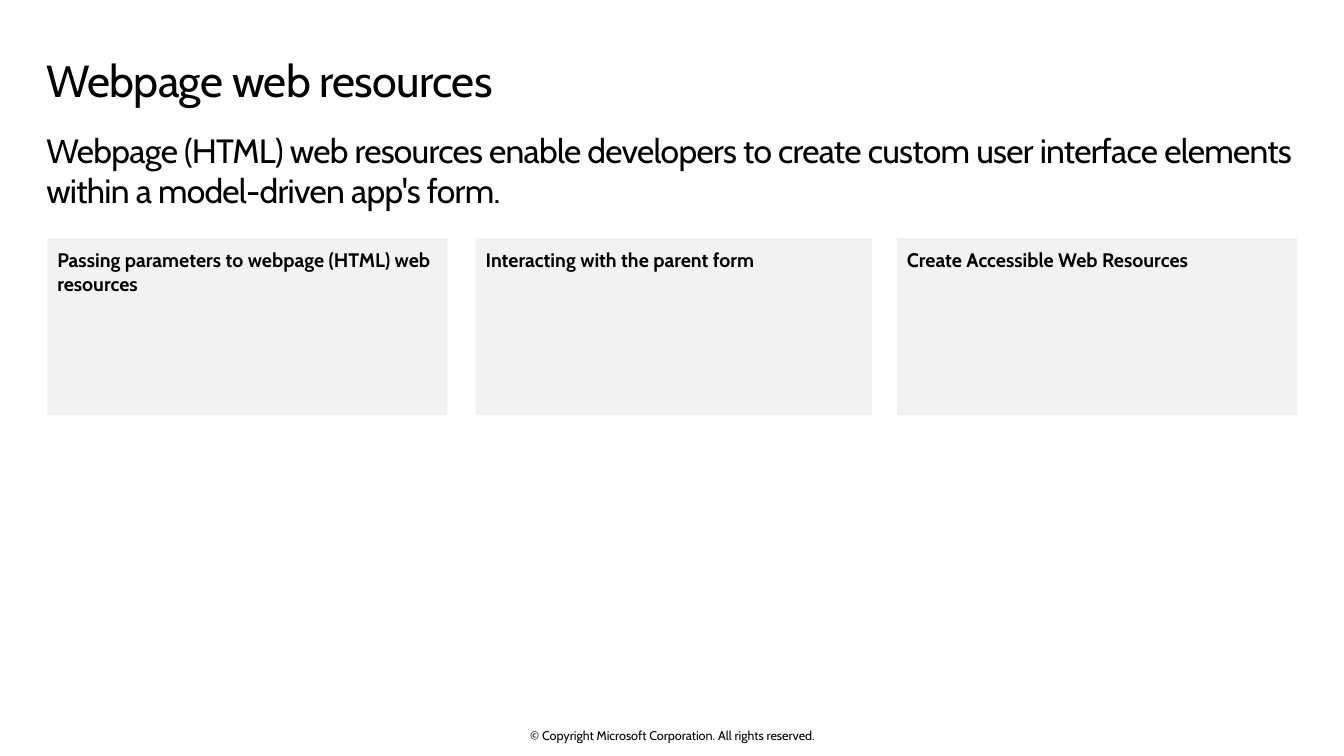
import pptx
import pptx.util
import pptx.dml.color
import pptx.enum.shapes
import pptx.enum.text

Pt = pptx.util.Pt
ALIGN = pptx.enum.text.PP_ALIGN
ANCHOR = pptx.enum.text.MSO_ANCHOR

# Content
TITLE = "Webpage web resources"
INTRO = ("Webpage (HTML) web resources enable developers to create custom "
         "user interface elements within a model-driven app's form.")
CARDS = [  # left, width, heading
    (33.84, 285.84, "Passing parameters to webpage (HTML) web resources"),
    (339.84, 282.96, "Interacting with the parent form"),
    (640.8, 285.84, "Create Accessible Web Resources"),
]
FOOTER = "© Copyright Microsoft Corporation. All rights reserved."

FONT = "Cabin"
COLORS = {"text": "000000", "card": "F2F2F2"}
CARD_TOP, CARD_HEIGHT = 169.92, 126.72


def rgb(name):
    return pptx.dml.color.RGBColor.from_string(COLORS[name])


def write(sp, text, size, insets=(0, 0, 0, 0), bold=False, spacing=0,
          align=ALIGN.LEFT, anchor=ANCHOR.TOP):
    """Fill a shape with one styled paragraph; return the paragraph."""
    tf = sp.text_frame
    tf.text = text
    tf.word_wrap = True
    tf.vertical_anchor = anchor
    tf.margin_left, tf.margin_top, tf.margin_right, tf.margin_bottom = map(Pt, insets)
    p = tf.paragraphs[0]
    p.alignment = align
    r = p.runs[0]
    r.font.name = FONT
    r.font.size = Pt(size)
    r.font.bold = bold
    r.font.color.rgb = rgb("text")
    if spacing:
        r._r.get_or_add_rPr().set("spc", str(int(spacing * 100)))
    return p


def add_text(s, left, top, width, height, text, size, **style):
    sp = s.shapes.add_textbox(Pt(left), Pt(top), Pt(width), Pt(height))
    return write(sp, text, size, **style)


def add_card(s, left, width, heading):
    sp = s.shapes.add_shape(pptx.enum.shapes.MSO_SHAPE.RECTANGLE,
                            Pt(left), Pt(CARD_TOP), Pt(width), Pt(CARD_HEIGHT))
    sp.shadow.inherit = False
    sp.fill.solid()
    sp.fill.fore_color.rgb = rgb("card")
    sp.line.fill.background()
    p = write(sp, heading, 14, insets=(7.2,) * 4, bold=True)
    p.space_after = Pt(6)


def main():
    prs = pptx.Presentation()
    prs.slide_width, prs.slide_height = Pt(960), Pt(540)
    s = prs.slides.add_slide(prs.slide_layouts[6])

    # Title and introduction
    p = add_text(s, 33.12, 34.56, 892.8, 53.28, TITLE, 32,
                 insets=(0, 7.2, 11.52, 7.2), spacing=-0.5)
    p.line_spacing = 0.9
    p = add_text(s, 33.12, 92.88, 892.8, 93.6, INTRO, 24, spacing=-0.5)
    p.space_after = Pt(4)

    # Topic cards
    for left, width, heading in CARDS:
        add_card(s, left, width, heading)

    # Copyright line
    add_text(s, 318.24, 519.84, 324, 10.8, FOOTER, 9,
             align=ALIGN.CENTER, anchor=ANCHOR.MIDDLE)

    prs.save("out.pptx")


if __name__ == "__main__":
    main()
